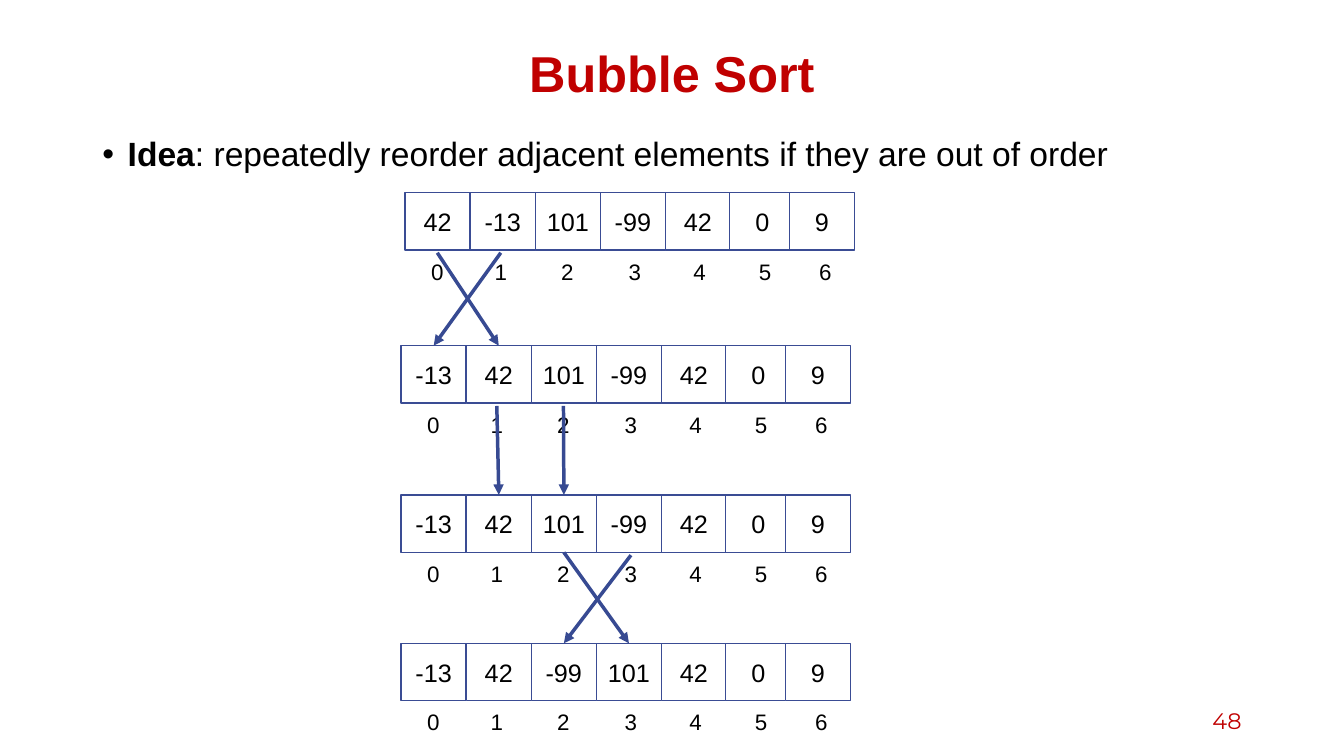
from dataclasses import dataclass

from pptx import Presentation
from pptx.dml.color import RGBColor
from pptx.enum import shapes, text
from pptx.oxml import ns
from pptx.util import Cm, Pt
from lxml import etree


@dataclass(frozen=True)
class Theme:
    accent: RGBColor = RGBColor(0xC0, 0x00, 0x00)
    ink: RGBColor = RGBColor(0x00, 0x00, 0x00)
    paper: RGBColor = RGBColor(0xFF, 0xFF, 0xFF)
    border: RGBColor = RGBColor(0x3A, 0x4C, 0x94)
    arrow: RGBColor = RGBColor(0x37, 0x4A, 0x92)
    font: str = "Arial"
    number_font: str = "Montserrat"
    title_size: int = 36
    idea_size: int = 24
    value_size: int = 18
    small_size: int = 16
    border_width: float = 1
    arrow_width: float = 2.5


THEME = Theme()

# Array geometry in centimetres; the last cell overlaps its neighbour
CELL_WIDTH, CELL_HEIGHT = 1.64, 1.45
CELL_OFFSETS = [CELL_WIDTH * i for i in range(5)] + [8.18, 9.68]
INDEX_WIDTH, INDEX_HEIGHT, INDEX_DROP = 1.02, 0.94, 1.52
INDEX_CENTRES = [0.81, 2.41, 4.09, 5.79, 7.42, 9.07, 10.59]

# Left, top and values of the array after each step
STEPS = [
    (10.21, 4.85, [42, -13, 101, -99, 42, 0, 9]),
    (10.11, 8.71, [-13, 42, 101, -99, 42, 0, 9]),
    (10.11, 12.47, [-13, 42, 101, -99, 42, 0, 9]),
    (10.11, 16.21, [-13, 42, -99, 101, 42, 0, 9]),
]

# Step, index the value leaves, index it reaches in the next step
MOVES = [(0, 0, 1), (1, 1, 1), (1, 2, 2), (0, 1, 0), (2, 2, 3), (2, 3, 2)]
MOVES_FROM_CELL = {(2, 2, 3)}


def format_run(run, size, color=THEME.ink, font=THEME.font, bold=False):
    run.font.size = Pt(size)
    run.font.name = font
    run.font.bold = bold
    run.font.color.rgb = color


def add_text(parent, box, wording, size, align, anchor=text.MSO_ANCHOR.TOP, **style):
    label = parent.add_textbox(*map(Cm, box))
    frame = label.text_frame
    frame.word_wrap = True
    frame.vertical_anchor = anchor
    paragraph = frame.paragraphs[0]
    paragraph.text = wording
    paragraph.alignment = align
    format_run(paragraph.runs[0], size, **style)
    return label


def add_idea(parent, box, term, explanation):
    idea = add_text(parent, box, term, THEME.idea_size, text.PP_ALIGN.LEFT, bold=True)
    paragraph = idea.text_frame.paragraphs[0]
    paragraph.line_spacing = 0.9
    paragraph.space_before = Pt(10)
    rest = paragraph.add_run()
    rest.text = explanation
    format_run(rest, THEME.idea_size)
    # Hanging bullet
    properties = paragraph._p.get_or_add_pPr()
    properties.set("marL", str(Cm(0.64)))
    properties.set("indent", str(-Cm(0.64)))
    etree.SubElement(properties, ns.qn("a:buFont")).set("typeface", THEME.font)
    etree.SubElement(properties, ns.qn("a:buChar")).set("char", "•")


def add_cell(parent, left, top, value):
    cell = parent.add_shape(shapes.MSO_SHAPE.RECTANGLE, Cm(left), Cm(top),
                            Cm(CELL_WIDTH), Cm(CELL_HEIGHT))
    cell.shadow.inherit = False
    cell.fill.solid()
    cell.fill.fore_color.rgb = THEME.paper
    cell.line.color.rgb = THEME.border
    cell.line.width = Pt(THEME.border_width)
    frame = cell.text_frame
    frame.margin_left = frame.margin_right = Cm(0.1)
    frame.vertical_anchor = text.MSO_ANCHOR.MIDDLE
    paragraph = frame.paragraphs[0]
    paragraph.text = str(value)
    paragraph.alignment = text.PP_ALIGN.CENTER
    format_run(paragraph.runs[0], THEME.value_size)
    return cell


def add_index(parent, centre, top, index):
    box = (centre - INDEX_WIDTH / 2, top, INDEX_WIDTH, INDEX_HEIGHT)
    label = add_text(parent, box, str(index), THEME.small_size, text.PP_ALIGN.CENTER)
    label.text_frame.auto_size = text.MSO_AUTO_SIZE.SHAPE_TO_FIT_TEXT
    return label


def add_array(parent, left, top, values):
    cells = [add_cell(parent, left + offset, top, value)
             for offset, value in zip(CELL_OFFSETS, values)]
    indices = [add_index(parent, left + centre, top + INDEX_DROP, index)
               for index, centre in enumerate(INDEX_CENTRES)]
    return cells, indices


def add_arrow(parent, source, source_side, target):
    arrow = parent.add_connector(shapes.MSO_CONNECTOR.STRAIGHT, 0, 0, 0, 0)
    arrow.begin_connect(source, source_side)
    arrow.end_connect(target, 0)
    arrow.line.color.rgb = THEME.arrow
    arrow.line.width = Pt(THEME.arrow_width)
    etree.SubElement(arrow.line._get_or_add_ln(), ns.qn("a:tailEnd")).set("type", "triangle")
    etree.SubElement(arrow._element.spPr, ns.qn("a:effectLst"))


def main():
    deck = Presentation()
    deck.slide_width, deck.slide_height = Cm(33.87), Cm(19.05)
    canvas = deck.slides.add_slide(deck.slide_layouts[6]).shapes

    # Title, idea and page number
    title = add_text(canvas, (2.33, 1.02, 29.21, 1.78), "Bubble Sort", THEME.title_size,
                     text.PP_ALIGN.CENTER, text.MSO_ANCHOR.MIDDLE,
                     color=THEME.accent, bold=True)
    title.text_frame.paragraphs[0].line_spacing = 0.9
    add_idea(canvas, (2.33, 3.35, 29.21, 14), "Idea",
             ": repeatedly reorder adjacent elements if they are out of order")
    add_text(canvas, (23.92, 17.65, 7.62, 1.02), "48", THEME.small_size,
             text.PP_ALIGN.RIGHT, text.MSO_ANCHOR.MIDDLE,
             color=THEME.accent, font=THEME.number_font)

    # Arrays, with the final one grouped
    arrays = [add_array(canvas, *step) for step in STEPS[:-1]]
    arrays.append(add_array(canvas.add_group_shape().shapes, *STEPS[-1]))

    # Arrows from each step to the next
    for move in MOVES:
        step, start, end = move
        cells, indices = arrays[step]
        next_cells, _ = arrays[step + 1]
        if move in MOVES_FROM_CELL:
            add_arrow(canvas, cells[start], 2, next_cells[end])
        else:
            add_arrow(canvas, indices[start], 0, next_cells[end])

    deck.save("out.pptx")


if __name__ == "__main__":
    main()
